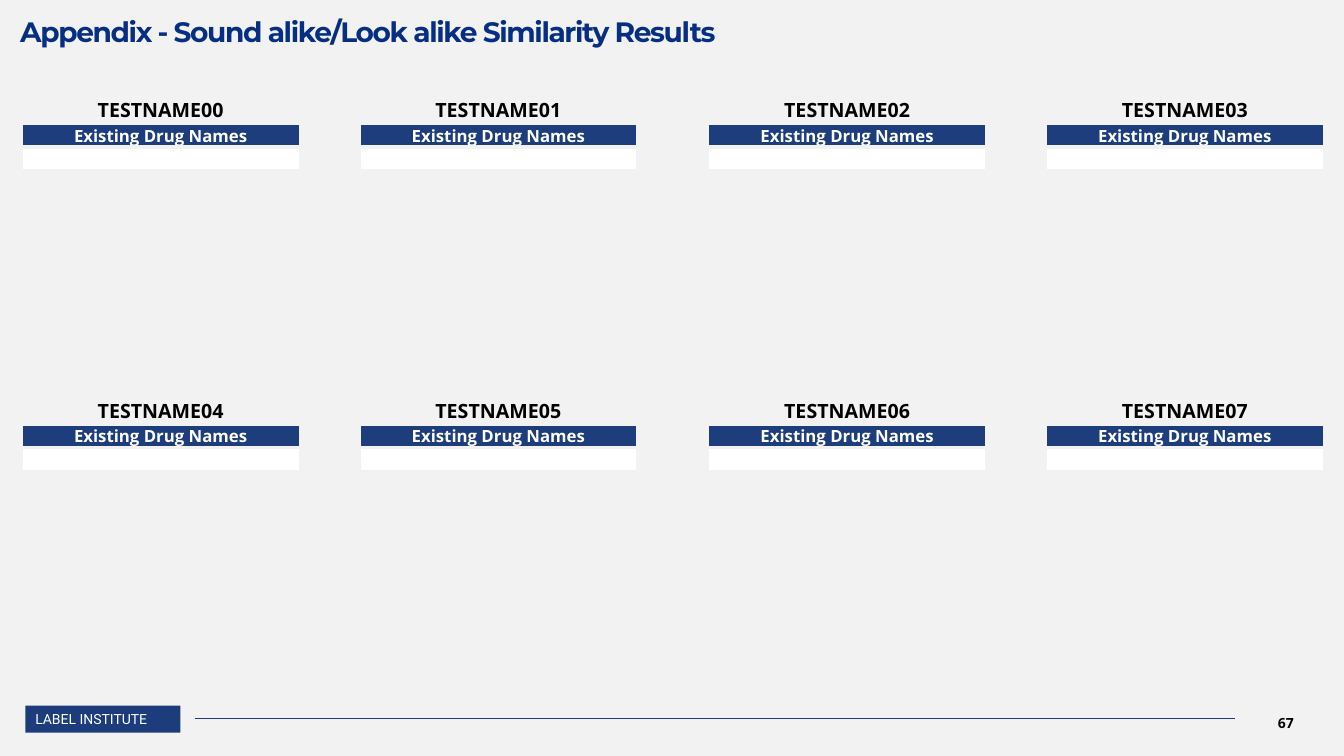
from lxml import etree
from pptx import Presentation
from pptx import util as u
from pptx.dml.color import RGBColor
from pptx.enum import shapes, text
from pptx.oxml import ns

TITLE = "Appendix - Sound alike/Look alike Similarity Results"
HEADING = "Existing Drug Names"
TEST_NAMES = [
    ["TESTNAME00", "TESTNAME01", "TESTNAME02", "TESTNAME03"],
    ["TESTNAME04", "TESTNAME05", "TESTNAME06", "TESTNAME07"],
]
FOOTER = "LABEL INSTITUTE"
PAGE = "67"

NAVY, HEADING_NAVY, TITLE_BLUE = "1D3C7C", "1D3D7C", "062E83"
GREY, WHITE, BLACK = "F2F2F2", "FFFFFF", "000000"

COLUMN_LEFTS = [0.53, 9.04, 17.83, 26.34]
FIRST_TOP, TOP_STEP = 2.41, 7.57
TABLE_WIDTH = 7.04
ROW_HEIGHTS = [0.7, 0.6, 0.6]


def rgb(value):
    return RGBColor.from_string(value)


def box(left, top, width, height):
    return u.Cm(left), u.Cm(top), u.Cm(width), u.Cm(height)


def write(frame, words, size, color, font="Open Sans", bold=False,
          align=text.PP_ALIGN.CENTER):
    paragraph = frame.paragraphs[0]
    paragraph.alignment = align
    if not words:
        # An empty line still needs a size, or it would stretch its row.
        etree.SubElement(paragraph._p, ns.qn("a:endParaRPr"), sz=str(size * 100))
        return None
    run = paragraph.add_run()
    run.text = words
    run.font.size = u.Pt(size)
    run.font.name = font
    run.font.bold = bold
    run.font.color.rgb = rgb(color)
    return run


def add_borders(cell, color, points):
    properties = cell._tc.get_or_add_tcPr()
    for side in ("lnL", "lnR", "lnT", "lnB"):
        border = etree.SubElement(properties, ns.qn("a:" + side),
                                  w=str(u.Pt(points)))
        fill = etree.SubElement(border, ns.qn("a:solidFill"))
        etree.SubElement(fill, ns.qn("a:srgbClr"), val=color)


def add_name_table(slide, name, left, top):
    rows = [(name, 14, BLACK, None), (HEADING, 12, WHITE, HEADING_NAVY),
            ("", 12, BLACK, WHITE)]
    table = slide.shapes.add_table(
        len(rows), 1, *box(left, top, TABLE_WIDTH, sum(ROW_HEIGHTS))).table
    table.first_row = table.horz_banding = False
    for index, (words, size, color, fill) in enumerate(rows):
        table.rows[index].height = u.Cm(ROW_HEIGHTS[index])
        cell = table.cell(index, 0)
        cell.margin_left = cell.margin_right = cell.margin_top = u.Cm(0.03)
        cell.margin_bottom = 0
        cell.vertical_anchor = text.MSO_ANCHOR.MIDDLE
        add_borders(cell, GREY, 3)
        if fill:
            cell.fill.solid()
            cell.fill.fore_color.rgb = rgb(fill)
        else:
            cell.fill.background()
        write(cell.text_frame, words, size, color, bold=True)


def add_title(slide):
    title = slide.shapes.title
    title.left, title.top, title.width, title.height = box(0.51, 0, 32.56, 1.22)
    frame = title.text_frame
    frame.margin_left = frame.margin_right = frame.margin_bottom = 0
    frame.margin_top = u.Cm(0.53)
    frame.word_wrap = True
    frame.auto_size = text.MSO_AUTO_SIZE.SHAPE_TO_FIT_TEXT
    frame.vertical_anchor = text.MSO_ANCHOR.TOP
    run = write(frame, TITLE, 20, TITLE_BLUE, "Montserrat", True,
                text.PP_ALIGN.LEFT)
    run.font._element.set("spc", "-100")
    frame.paragraphs[0].line_spacing = 0.8


def add_footer(slide):
    badge = slide.shapes.add_shape(shapes.MSO_SHAPE.RECTANGLE,
                                   *box(0.64, 17.78, 3.91, 0.68))
    badge.shadow.inherit = False
    badge.fill.solid()
    badge.fill.fore_color.rgb = rgb(NAVY)
    badge.line.fill.background()
    badge.text_frame.margin_top = badge.text_frame.margin_bottom = 0
    badge.text_frame.vertical_anchor = text.MSO_ANCHOR.MIDDLE
    write(badge.text_frame, FOOTER, 10, WHITE, "Roboto",
          align=text.PP_ALIGN.LEFT)

    rule = slide.shapes.add_connector(
        shapes.MSO_CONNECTOR.STRAIGHT,
        u.Cm(4.91), u.Cm(18.09), u.Cm(31.13), u.Cm(18.09))
    rule.line.color.rgb = rgb(NAVY)
    rule.line.width = u.Pt(0.5)
    etree.SubElement(rule._element.spPr, ns.qn("a:effectLst"))

    number = slide.shapes.add_textbox(*box(31.01, 17.7, 2.79, 1.02)).text_frame
    number.word_wrap = True
    number.vertical_anchor = text.MSO_ANCHOR.MIDDLE
    write(number, PAGE, 10, BLACK, bold=True)


def main():
    deck = Presentation()
    deck.slide_width, deck.slide_height = u.Cm(33.87), u.Cm(19.05)
    slide = deck.slides.add_slide(deck.slide_layouts.get_by_name("Title Only"))
    slide.background.fill.solid()
    slide.background.fill.fore_color.rgb = rgb(GREY)

    add_title(slide)
    add_footer(slide)
    for row, names in enumerate(TEST_NAMES):
        for left, name in zip(COLUMN_LEFTS, names):
            add_name_table(slide, name, left, FIRST_TOP + row * TOP_STEP)
    deck.save("out.pptx")


if __name__ == "__main__":
    main()
